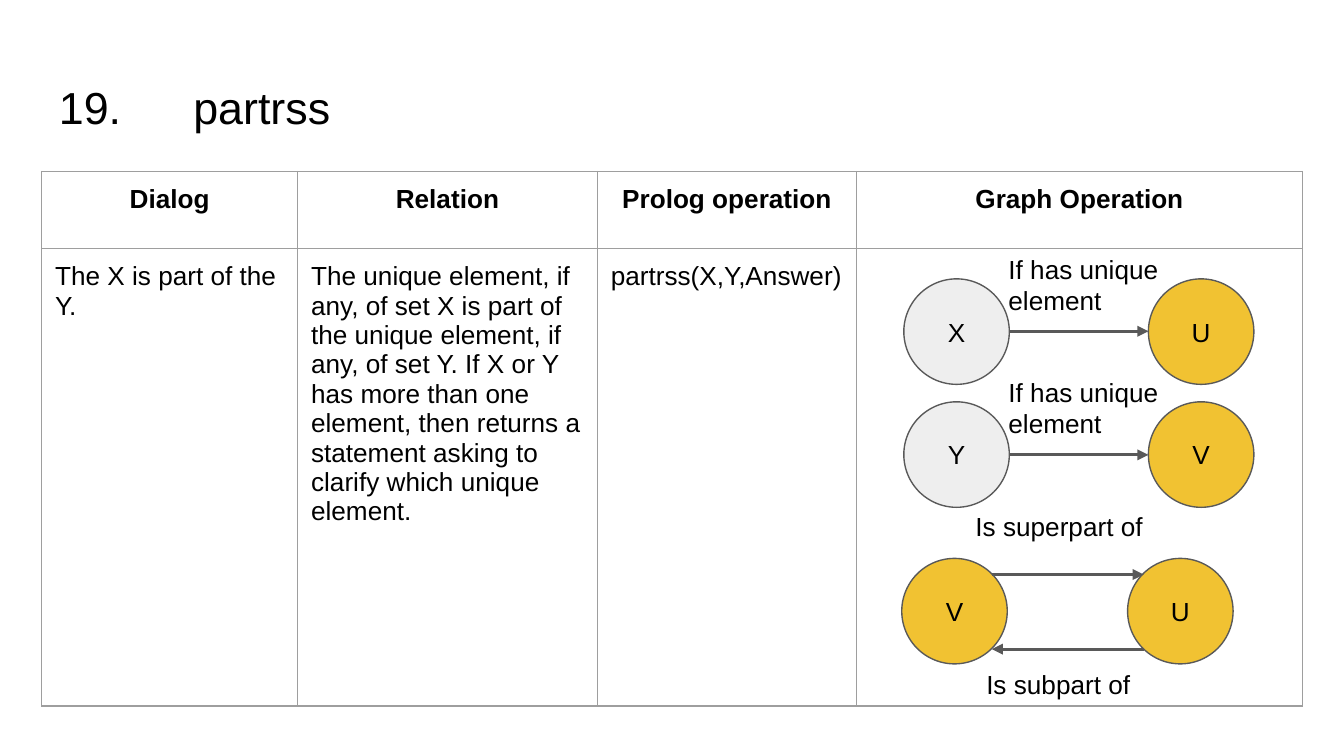
"""Build the slide that explains the partrss operation with a table and three small graphs."""
from typing import NamedTuple

from lxml import etree
from pptx import Presentation
from pptx.dml.color import RGBColor
from pptx.enum.shapes import MSO_CONNECTOR, MSO_SHAPE
from pptx.enum.text import MSO_ANCHOR, PP_ALIGN
from pptx.oxml.ns import qn
from pptx.util import Pt

PX = 4572
INSET = 20
NODE_SIZE = 157
BORDER_WIDTH = 0.75
BLACK = RGBColor(0x00, 0x00, 0x00)
GREY = RGBColor(0xEE, 0xEE, 0xEE)
GOLD = RGBColor(0xF1, 0xC2, 0x32)
DARK = RGBColor(0x59, 0x59, 0x59)
BORDER_HEX = "9E9E9E"
LEFT, CENTER = PP_ALIGN.LEFT, PP_ALIGN.CENTER
TOP, MIDDLE = MSO_ANCHOR.TOP, MSO_ANCHOR.MIDDLE
OVAL, STRAIGHT = MSO_SHAPE.OVAL, MSO_CONNECTOR.STRAIGHT

COLUMN_WIDTHS = (381, 446, 386, 663)
ROW_HEIGHTS = (115, 227, 227, 227)
HEADINGS = ("Dialog", "Relation", "Prolog operation", "Graph Operation")
DETAILS = (
    "The X is part of the Y.",
    "The unique element, if any, of set X is part of the unique element, if any, "
    "of set Y. If X or Y has more than one element, then returns a statement "
    "asking to clarify which unique element.",
    "partrss(X,Y,Answer)",
)


class Node(NamedTuple):
    text: str
    left: int
    top: int
    color: RGBColor


class Arrow(NamedTuple):
    start: int
    end: int
    y: int


class Label(NamedTuple):
    text: str
    left: int
    top: int


NODES = (
    Node("V", 1342, 831, GOLD), Node("U", 1678, 831, GOLD),
    Node("Y", 1345, 598, GREY), Node("V", 1709, 598, GOLD),
    Node("X", 1345, 415, GREY), Node("U", 1709, 415, GOLD),
)
ARROWS = (
    Arrow(1476, 1702, 855), Arrow(1702, 1476, 966),
    Arrow(1502, 1709, 677), Arrow(1502, 1709, 493),
)
LABELS = (
    Label("Is superpart of", 1432, 740), Label("Is subpart of", 1448, 974),
    Label("If has unique element", 1481, 540), Label("If has unique element", 1481, 357),
)


def write(frame, text: str, *, size=14, bold=False, align=LEFT, tab=None) -> None:
    """Put one formatted paragraph into a text frame."""
    frame.word_wrap = True
    paragraph = frame.paragraphs[0]
    paragraph.alignment = align
    if tab:
        tabs = etree.SubElement(paragraph._p.get_or_add_pPr(), qn("a:tabLst"))
        etree.SubElement(tabs, qn("a:tab"), pos=str(tab * PX), algn="l")
    run = paragraph.add_run()
    run.text = text
    run.font.name = "Arial"
    run.font.size = Pt(size)
    run.font.bold = bold
    run.font.color.rgb = BLACK


def set_insets(holder, anchor) -> None:
    """Give a cell or text frame equal margins and an anchor."""
    holder.margin_left = holder.margin_right = INSET * PX
    holder.margin_top = holder.margin_bottom = INSET * PX
    holder.vertical_anchor = anchor


def add_label(slide, text: str, left: int, top: int, width=326, height=74,
              **text_format) -> None:
    """Draw text in a box of its own."""
    box = slide.shapes.add_textbox(left * PX, top * PX, width * PX, height * PX)
    set_insets(box.text_frame, TOP)
    write(box.text_frame, text, **text_format)


def style_cell(cell) -> None:
    """Remove the fill of a cell and outline its four sides."""
    set_insets(cell, TOP)
    properties = cell._tc.get_or_add_tcPr()
    for side in ("lnL", "lnR", "lnT", "lnB"):
        line = etree.SubElement(properties, qn(f"a:{side}"), w=str(Pt(BORDER_WIDTH)))
        fill = etree.SubElement(line, qn("a:solidFill"))
        etree.SubElement(fill, qn("a:srgbClr"), val=BORDER_HEX)
    cell.fill.background()


def add_operation_table(slide) -> None:
    """Draw the table whose body cells each span three rows."""
    table = slide.shapes.add_table(
        len(ROW_HEIGHTS), len(COLUMN_WIDTHS), 62 * PX, 255 * PX,
        sum(COLUMN_WIDTHS) * PX, sum(ROW_HEIGHTS) * PX).table
    table.first_row = table.horz_banding = False
    for row, height in zip(table.rows, ROW_HEIGHTS):
        row.height = height * PX
    for index, (column, width) in enumerate(zip(table.columns, COLUMN_WIDTHS)):
        column.width = width * PX
        table.cell(1, index).merge(table.cell(len(ROW_HEIGHTS) - 1, index))
    for cell in table.iter_cells():
        style_cell(cell)
    for index, heading in enumerate(HEADINGS):
        write(table.cell(0, index).text_frame, heading, bold=True, align=CENTER)
    for index, detail in enumerate(DETAILS):
        write(table.cell(1, index).text_frame, detail)


def add_node(slide, node: Node) -> None:
    """Draw a graph node as a circle."""
    circle = slide.shapes.add_shape(
        OVAL, node.left * PX, node.top * PX, NODE_SIZE * PX, NODE_SIZE * PX)
    circle.shadow.inherit = False
    circle.fill.solid()
    circle.fill.fore_color.rgb = node.color
    circle.line.color.rgb = DARK
    circle.line.width = Pt(BORDER_WIDTH)
    set_insets(circle.text_frame, MIDDLE)
    write(circle.text_frame, node.text, align=CENTER)


def add_arrow(slide, arrow: Arrow) -> None:
    """Draw a horizontal arrow between two nodes."""
    edge = slide.shapes.add_connector(
        STRAIGHT, arrow.start * PX, arrow.y * PX, arrow.end * PX, arrow.y * PX)
    edge.line.color.rgb = DARK
    edge.line.width = Pt(1.5)
    etree.SubElement(edge.line._get_or_add_ln(), qn("a:tailEnd"), type="triangle")
    etree.SubElement(edge._element.spPr, qn("a:effectLst"))


def main() -> None:
    """Assemble and save the slide."""
    presentation = Presentation()
    presentation.slide_width = 2000 * PX
    presentation.slide_height = 1125 * PX
    slide = presentation.slides.add_slide(presentation.slide_layouts[6])
    add_operation_table(slide)
    add_label(slide, "19.\tpartrss", 68, 98, 1864, 126, size=24, tab=200)
    for node in NODES:
        add_node(slide, node)
    for arrow in ARROWS:
        add_arrow(slide, arrow)
    for label in LABELS:
        add_label(slide, *label)
    presentation.save("out.pptx")


if __name__ == "__main__":
    main()
